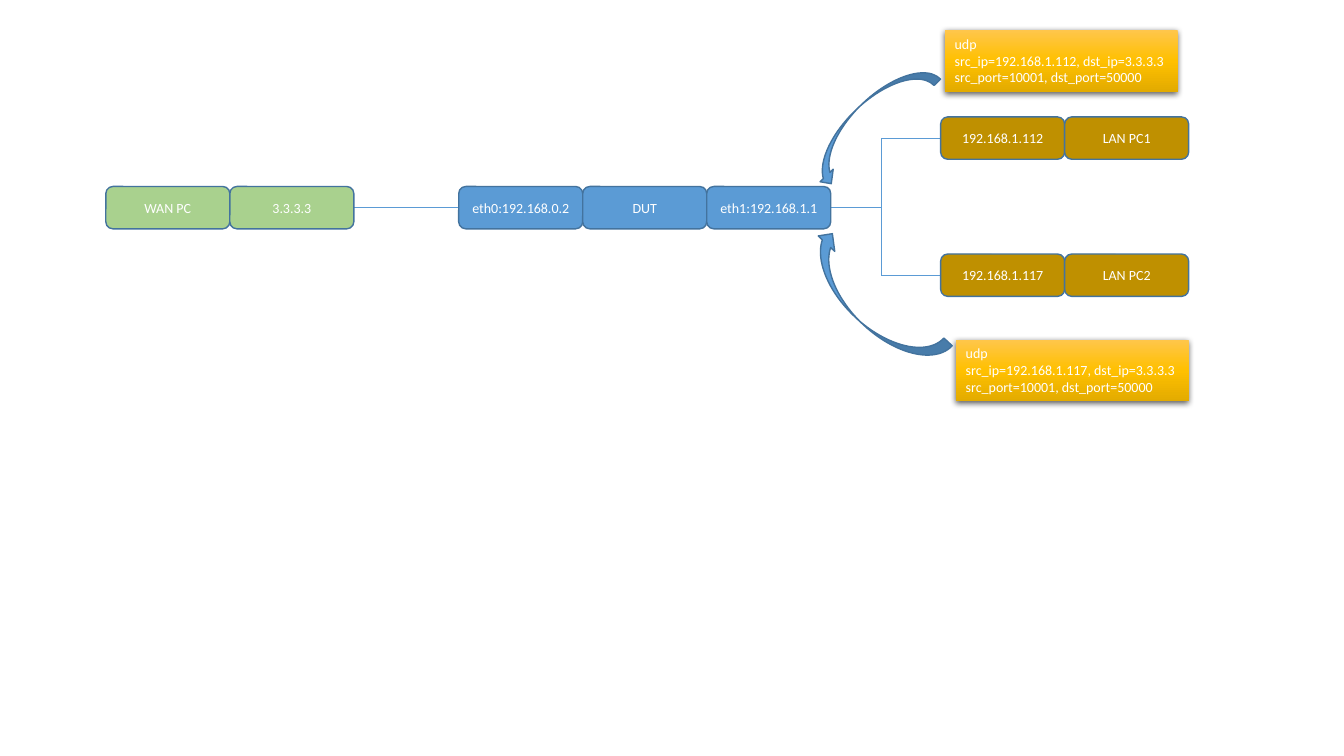
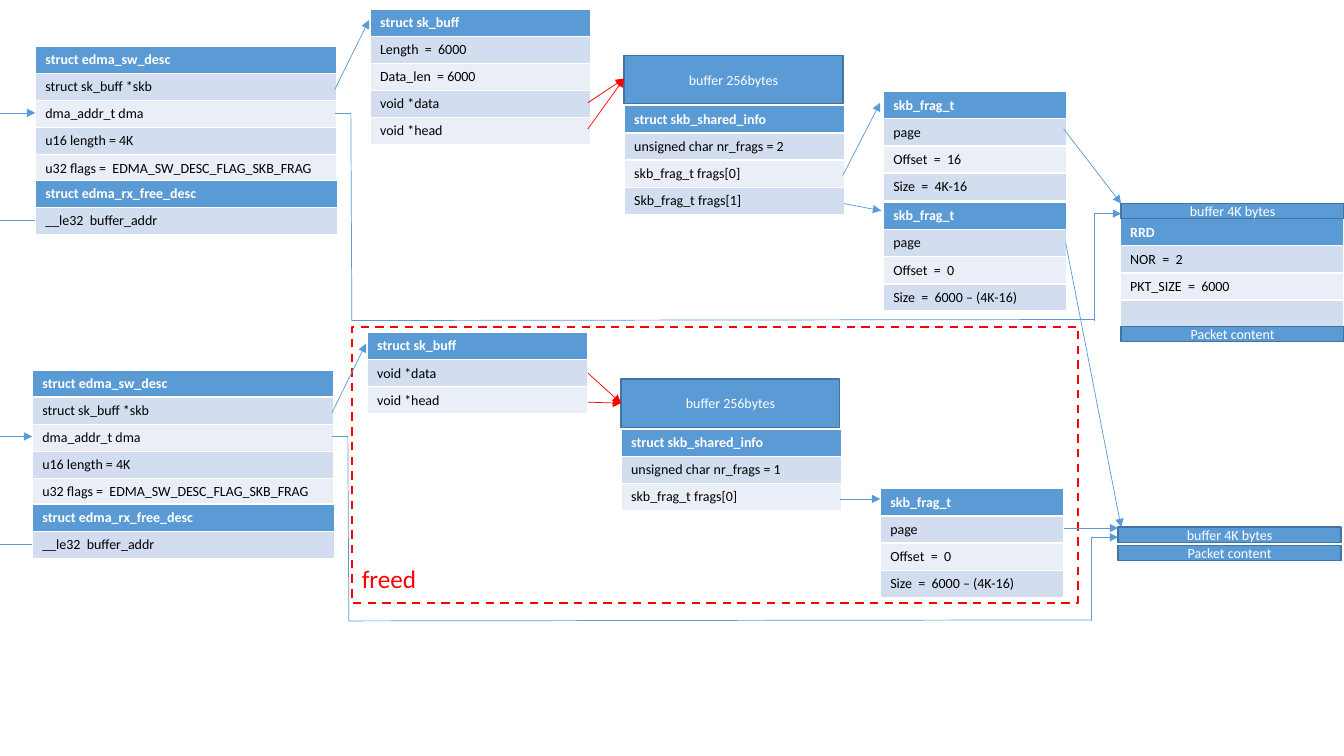
"""Build two slides: a UDP test network and the receive buffer structures."""
from copy import deepcopy

from lxml.etree import SubElement
from pptx import Presentation
from pptx.dml.color import RGBColor
from pptx.enum.dml import MSO_LINE
from pptx.enum.shapes import MSO_CONNECTOR, MSO_SHAPE
from pptx.enum.text import MSO_ANCHOR, MSO_AUTO_SIZE, PP_ALIGN
from pptx.oxml.ns import qn
from pptx.util import Pt

PX = 9144
FONT = "Calibri"
HEX = {
    "white": "FFFFFF", "black": "000000", "red": "FF0000",
    "blue": "5B9BD5", "edge": "43739E", "green": "A9D18E", "brown": "BF9000",
    "band": "D2DEEF", "pale": "EAEFF7",
    "top": "FFC64B", "gold": "FFC000", "base": "E3AB00",
}
RGB = {name: RGBColor.from_string(code) for name, code in HEX.items()}


def write(frame, text, size=10, color="white", bold=False, align=PP_ALIGN.LEFT):
    for num, part in enumerate(text.split("\n")):
        para = frame.add_paragraph() if num else frame.paragraphs[0]
        para.alignment = align
        if not part:
            SubElement(para._p, qn("a:endParaRPr"), sz=str(size * 100))
            continue
        run = para.add_run()
        run.text = part
        run.font.name = FONT
        run.font.size = Pt(size)
        run.font.bold = bold
        run.font.color.rgb = RGB[color]


def link(slide, *ends, color="blue", arrow=False):
    line = slide.shapes.add_connector(MSO_CONNECTOR.STRAIGHT, *[n * PX for n in ends])
    line.line.color.rgb = RGB[color]
    line.line.width = Pt(0.5)
    if arrow:
        SubElement(line.line._get_or_add_ln(), qn("a:tailEnd"), type="triangle")
    SubElement(line._element.spPr, qn("a:effectLst"))


deck = Presentation()
deck.slide_width, deck.slide_height = 1333 * PX, 750 * PX
blank = deck.slide_layouts[6]
net = deck.slides.add_slide(blank)
mem = deck.slides.add_slide(blank)

nodes = [
    (105, 185, "green", ["WAN PC", "3.3.3.3"]),
    (455, 185, "blue", ["eth0:192.168.0.2", "DUT", "eth1:192.168.1.1"]),
    (933, 116, "brown", ["192.168.1.112", "LAN PC1"]),
    (933, 252, "brown", ["192.168.1.117", "LAN PC2"]),
]
round_box, rect = MSO_SHAPE.ROUNDED_RECTANGLE, MSO_SHAPE.RECTANGLE
boxes = [
    (net, round_box, (left + num * 123, top, 123, 42), fill, 0, text)
    for left, top, fill, texts in nodes
    for num, text in enumerate(texts)
]
boxes += [
    (net, MSO_SHAPE.CURVED_RIGHT_ARROW, (845, 41, 36, 159), "blue", 46.3, ""),
    (net, MSO_SHAPE.CURVED_LEFT_ARROW, (843, 213, 45, 174), "blue", 133.1, ""),
]

for ends in [
    (350, 206, 455, 206), (823, 206, 874, 206), (874, 137, 874, 273),
    (874, 137, 933, 137), (874, 273, 933, 273),
]:
    link(net, *ends)

for left, top, host in [(937, 30, 112), (948, 337, 117)]:
    note = net.shapes.add_shape(rect, left * PX, top * PX, 231 * PX, 61 * PX)
    note.line.fill.background()
    note.fill.gradient()
    note.fill.gradient_angle = 270
    stops = note._element.spPr.find(qn("a:gradFill")).find(qn("a:gsLst"))
    stops.append(deepcopy(stops[0]))
    for stop, color, pos in zip(note.fill.gradient_stops, ["top", "gold", "base"], [0, 0.5, 1]):
        stop.color.rgb = RGB[color]
        stop.position = pos
    note.shadow.inherit = False
    glow = SubElement(
        note._element.spPr.find(qn("a:effectLst")), qn("a:outerShdw"),
        blurRad="57150", dist="19050", dir="5400000", algn="ctr", rotWithShape="0",
    )
    tint = SubElement(glow, qn("a:srgbClr"), val=HEX["black"])
    SubElement(tint, qn("a:alpha"), val="63000")
    frame = note.text_frame
    frame.word_wrap = False
    frame.auto_size = MSO_AUTO_SIZE.SHAPE_TO_FIT_TEXT
    frame.vertical_anchor = MSO_ANCHOR.TOP
    write(frame, f"udp\nsrc_ip=192.168.1.{host}, dst_ip=3.3.3.3\nsrc_port=10001, dst_port=50000")

freed = mem.shapes.add_shape(rect, 349 * PX, 324 * PX, 720 * PX, 274 * PX)
freed.shadow.inherit = False
freed.fill.background()
freed.line.color.rgb = RGB["red"]
freed.line.width = Pt(1.5)
freed.line.dash_style = MSO_LINE.DASH

dx, dy = -3, 321
desc = [
    "struct edma_sw_desc", "struct sk_buff *skb", "dma_addr_t dma",
    "u16 length = 4K", "u32 flags =  EDMA_SW_DESC_FLAG_SKB_FRAG",
]
ring = ["struct edma_rx_free_desc", "__le32  buffer_addr"]
info = ["struct skb_shared_info", "unsigned char nr_frags = {}", "skb_frag_t frags[0]"]
tail = ["skb_frag_t", "page", "Offset  =  0", "Size  =  6000 – (4K-16)"]
grids = [
    (367, 9, 219, ["struct sk_buff", "Length  =  6000", "Data_len  = 6000", "void *data", "void *head"]),
    (367 + dx, 9 + dy, 219, ["struct sk_buff", "void *data", "void *head"]),
    (619, 105, 219, info + ["Skb_frag_t frags[1]"]),
    (619 + dx, 105 + dy, 219, info),
    (876, 91, 182, ["skb_frag_t", "page", "Offset  =  16", "Size  =  4K-16"]),
    (876, 201, 182, tail),
    (873, 485, 182, tail),
    (1111, 217, 222, ["RRD", "NOR  =  2", "PKT_SIZE  =  6000", ""]),
]

wires = [
    (583, 102, 619, 78, "red", True), (583, 128, 619, 78, "red", True),
    (583, 370, 616, 400, "red", True), (583, 399, 616, 400, "red", True),
    (836, 174, 873, 102, "blue", True), (837, 202, 874, 209, "blue", True),
    (833, 495, 873, 495, "blue", True), (1055, 128, 1112, 202, "blue", True),
    (1055, 524, 1109, 524, "blue", True), (1057, 241, 1112, 523, "blue", True),
]
for x, y, rail, foot in [(0, 0, 318, 324), (dx, dy, 616, 541)]:
    grids += [(35 + x, 46 + y, 299, desc), (35 + x, 179 + y, 300, ring)]
    boxes += [
        (mem, rect, (619 + x, 55 + y, 217, 48), "blue", 0, "buffer 256bytes"),
        (mem, rect, (1112 + x, 202 + y, 221, 15), "blue", 0, "buffer 4K bytes"),
        (mem, rect, (1112 + x, foot, 221, 15), "blue", 0, "Packet content"),
    ]
    wires += [
        (332 + x, 89 + y, 366 + x, 20 + y, "blue", True),
        (0, 219 + y, 35 + x, 219 + y, "blue", False),
        (0, 112 + y, 35 + x, 112 + y, "blue", True),
        (332 + x, 112 + y, 348 + x, 112 + y, "blue", False),
        (348 + x, 112 + y, 349 + x, rail, "blue", False),
        (349 + x, rail, 1085 + x, rail - 1, "blue", False),
        (1085 + x, rail, 1085 + x, 212 + y, "blue", False),
        (1085 + x, 212 + y, 1112 + x, 212 + y, "blue", True),
    ]

for left, top, width, rows in grids:
    size = [n * PX for n in (left, top, width, 26 * len(rows))]
    grid = mem.shapes.add_table(len(rows), 1, *size).table
    for num, text in enumerate(rows):
        cell = grid.cell(num, 0)
        cell.fill.solid()
        cell.fill.fore_color.rgb = RGB["blue" if num == 0 else "band" if num % 2 else "pale"]
        write(cell.text_frame, text.format(len(rows) - 2),
              color="black" if num else "white", bold=num == 0)

for slide, kind, area, fill, turn, text in boxes:
    box = slide.shapes.add_shape(kind, *[n * PX for n in area])
    box.shadow.inherit = False
    box.rotation = turn
    box.fill.solid()
    box.fill.fore_color.rgb = RGB[fill]
    box.line.color.rgb = RGB["edge"]
    box.line.width = Pt(1)
    write(box.text_frame, text, align=PP_ALIGN.CENTER)

for *ends, color, arrow in wires:
    link(mem, *ends, color=color, arrow=arrow)

label = mem.shapes.add_textbox(349 * PX, 554 * PX, 75 * PX, 40 * PX).text_frame
label.word_wrap = False
label.auto_size = MSO_AUTO_SIZE.SHAPE_TO_FIT_TEXT
write(label, "freed", size=18, color="red")

deck.save("out.pptx")
